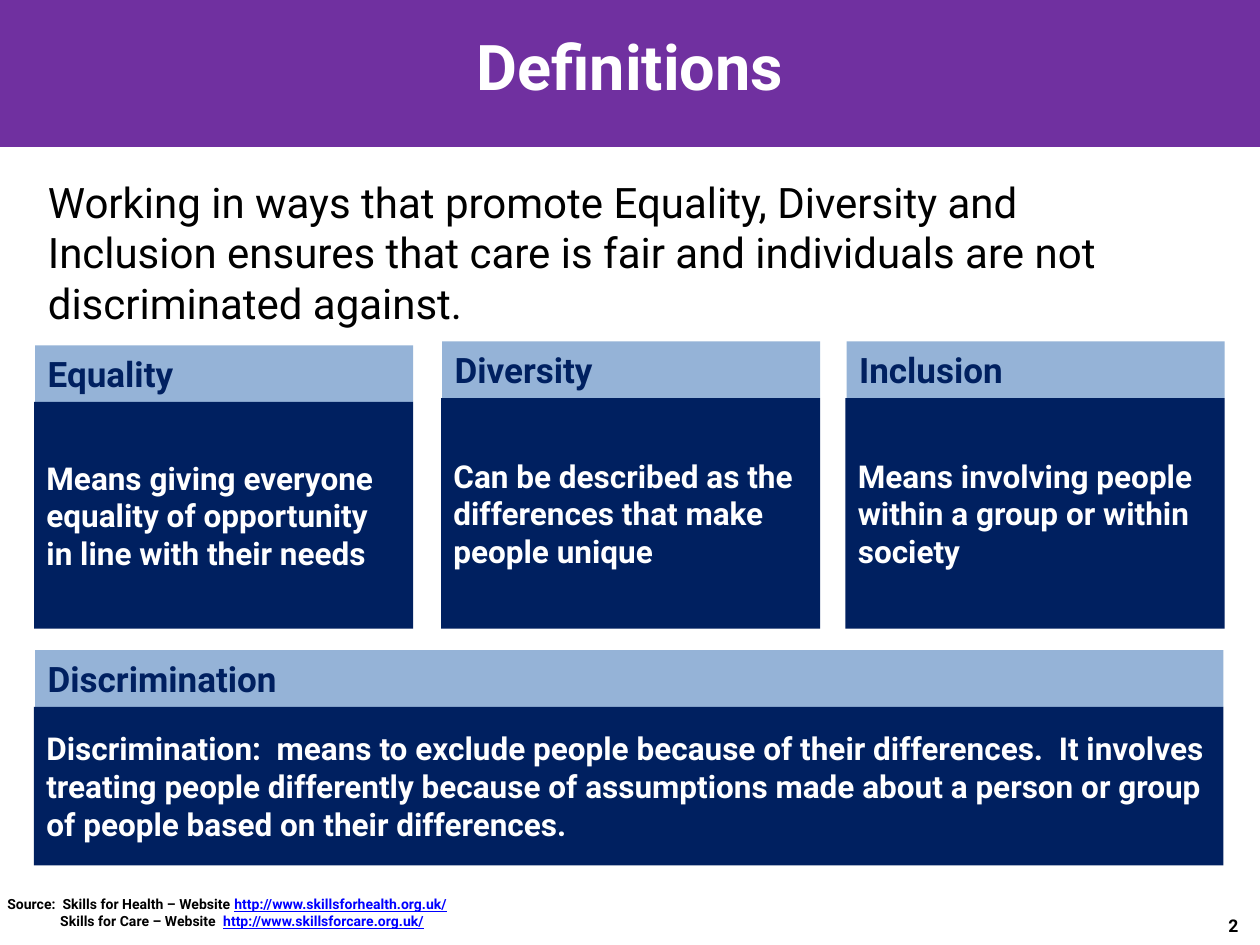
from lxml import etree
from pptx import Presentation
from pptx.dml.color import RGBColor
from pptx.enum.shapes import MSO_SHAPE
from pptx.enum.text import MSO_ANCHOR, MSO_AUTO_SIZE, PP_ALIGN
from pptx.oxml.ns import qn
from pptx.util import Inches, Pt

RECT = MSO_SHAPE.RECTANGLE
MIDDLE, TOP = MSO_ANCHOR.MIDDLE, MSO_ANCHOR.TOP
LEFT, CENTER = PP_ALIGN.LEFT, PP_ALIGN.CENTER
NO_FIT = MSO_AUTO_SIZE.NONE

FONT = "Roboto"
PURPLE, NAVY, PALE_BLUE = "7030A0", "002060", "95B3D7"
WHITE, BLACK, LINK_BLUE = "FFFFFF", "000000", "0000FF"
HEADING_H = 0.45

# heading, definition, left, top, width, total height
CARDS = [
    ("Equality", "Means giving everyone equality of opportunity in line with their needs",
     0.28, 2.74, 3, 2.25),
    ("Diversity", "Can be described as the differences that make people unique",
     3.51, 2.71, 3, 2.28),
    ("Inclusion", "Means involving people within a group or within society",
     6.72, 2.71, 3, 2.28),
    ("Discrimination",
     "Discrimination:  means to exclude people because of their differences.  "
     "It involves treating people differently because of assumptions made about "
     "a person or group of people based on their differences.",
     0.28, 5.16, 9.43, 1.71),
]
# label, address, left indent
SOURCES = [
    ("Source:  Skills for Health – Website ", "http://www.skillsforhealth.org.uk/", 0),
    ("Skills for Care – Website  ", "http://www.skillsforcare.org.uk/", 0.42),
]


def rgb(color):
    return RGBColor.from_string(color)


def set_font(font, size, color, bold=True):
    font.name = FONT
    font.size = Pt(size)
    font.bold = bold
    font.color.rgb = rgb(color)


def add_rect(s, box, color):
    sp = s.shapes.add_shape(RECT, *map(Inches, box))
    sp.shadow.inherit = False
    sp.fill.solid()
    sp.fill.fore_color.rgb = rgb(color)
    sp.line.fill.background()
    return sp


def write(sp, text, size, color, bold=True, align=LEFT, anchor=MIDDLE):
    tf = sp.text_frame
    tf.word_wrap = True
    tf.auto_size = NO_FIT
    tf.vertical_anchor = anchor
    p = tf.paragraphs[0]
    p.text = text
    p.alignment = align
    p.space_before = Pt(0)
    set_font(p.font, size, color, bold)
    return p


def place(sp, left, top, width, height):
    sp.left, sp.top = Inches(left), Inches(top)
    sp.width, sp.height = Inches(width), Inches(height)


def set_indent(p, left):
    pPr = p._p.get_or_add_pPr()
    pPr.set("marL", str(Inches(left)))
    pPr.set("indent", "0")
    return pPr


def add_title(s):
    title = s.shapes.title
    place(title, 0, -0.11, 10, 1.25)
    write(title, "Definitions", 36, WHITE, align=CENTER)

    # Banner goes behind the title
    banner = add_rect(s, (0, 0, 10, 1.15), PURPLE)
    banner.line.color.rgb = rgb(PURPLE)
    banner.line.width = Pt(2)
    title.element.addprevious(banner.element)


def add_intro(s):
    body = s.placeholders[1]
    place(body, 0.28, 1.35, 9, 1.36)
    p = body.text_frame.paragraphs[0]
    etree.SubElement(set_indent(p, 0), qn("a:buNone"))
    write(body, "Working in ways that promote Equality, Diversity and Inclusion "
          "ensures that care is fair and individuals are not discriminated against.",
          24, BLACK, bold=False, anchor=TOP)


def add_card(s, heading, definition, left, top, width, height):
    head = add_rect(s, (left, top, width, HEADING_H), PALE_BLUE)
    write(head, heading, 20, NAVY)
    panel = add_rect(s, (left - 0.01, top + HEADING_H, width + 0.01, height - HEADING_H), NAVY)
    write(panel, definition, 18, WHITE)


def add_sources(s):
    tf = s.shapes.add_textbox(*map(Inches, (-0.04, 7.06, 4.3, 0.39))).text_frame
    tf.word_wrap = True
    for i, (label, address, indent) in enumerate(SOURCES):
        p = tf.add_paragraph() if i else tf.paragraphs[0]
        set_indent(p, indent)
        for text, color in ((label, BLACK), (address, LINK_BLUE)):
            r = p.add_run()
            r.text = text
            set_font(r.font, 8, color)
            r.font.underline = color == LINK_BLUE


def add_page_number(s):
    sp = s.shapes.add_textbox(*map(Inches, (9.65, 7.21, 0.32, 0.27)))
    write(sp, "2", 10, BLACK, anchor=TOP)
    sp.text_frame.word_wrap = False


def main():
    prs = Presentation()
    prs.slide_width, prs.slide_height = Inches(10), Inches(7.5)
    s = prs.slides.add_slide(prs.slide_layouts[1])

    # Title and introduction
    add_title(s)
    add_intro(s)

    # Definition cards
    for card in CARDS:
        add_card(s, *card)

    # Footer
    add_sources(s)
    add_page_number(s)
    prs.save("out.pptx")


if __name__ == "__main__":
    main()
